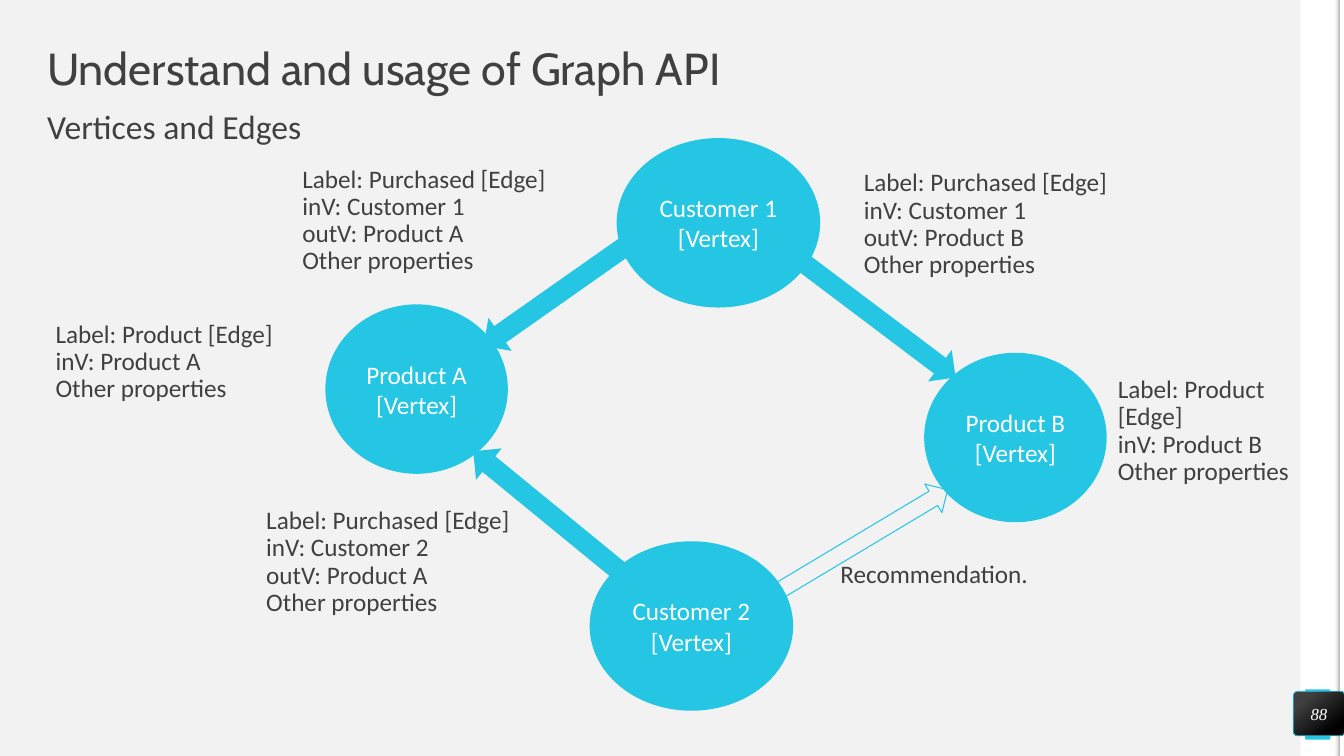
import lxml.etree
import pptx
import pptx.dml.color
import pptx.enum.shapes
import pptx.enum.text
import pptx.oxml.ns
import pptx.util

Cm = pptx.util.Cm
Pt = pptx.util.Pt
RGBColor = pptx.dml.color.RGBColor
Shape = pptx.enum.shapes.MSO_SHAPE
Align = pptx.enum.text.PP_ALIGN
Anchor = pptx.enum.text.MSO_ANCHOR

CYAN = RGBColor(0x25, 0xC6, 0xE3)
WHITE = RGBColor(0xFF, 0xFF, 0xFF)
BLACK = RGBColor(0, 0, 0)
PALE = RGBColor(0xF2, 0xF2, 0xF2)
SILVER = RGBColor(0xA6, 0xA6, 0xA6)
DARK = RGBColor(0x40, 0x40, 0x40)

TITLE = {"name": "Cabin", "size": Pt(32), "color": DARK}
SUBTITLE = {"name": "Calibri", "size": Pt(24), "color": DARK}
LABEL = {"name": "Calibri", "size": Pt(18), "color": DARK}
VERTEX = {"name": "Calibri", "size": Pt(18), "color": WHITE}
NUMBER = {"name": "Times New Roman", "size": Pt(12), "italic": True, "color": WHITE}

SLIDE_WIDTH, SLIDE_HEIGHT = 33.87, 19.05
VERTEX_HEIGHT = 4.27
LABEL_WIDTH, LABEL_HEIGHT = 6.43, 2.97

# name, left, top, width
PRODUCTS = [("Product B", 23.29, 8.89, 4.6), ("Product A", 8.2, 7.67, 4.6)]
CUSTOMERS = [("Customer 2", 14.86, 13.64, 5.13), ("Customer 1", 15.54, 3.48, 5.13)]

# left, top, width, height, rotation
PURCHASES = [
    (11.77, 6.9, 4.55, 1.02, 144.9),
    (11.35, 12.47, 5.08, 1.02, 219.3),
    (19.81, 7.59, 4.75, 0.99, 37),
]
RECOMMENDATION = (19.33, 13.18, 4.9, 0.84, 329.1)

# left, top, customer, product
PURCHASE_LABELS = [
    (7.62, 4.19, "Customer 1", "Product A"),
    (21.77, 4.29, "Customer 1", "Product B"),
    (6.71, 12.8, "Customer 2", "Product A"),
]
# left, top, width, product
PRODUCT_LABELS = [(1.4, 8.1, LABEL_WIDTH, "Product A"), (28.17, 9.5, 5.23, "Product B")]


def write_lines(frame, lines, style, align=Align.LEFT, spacing=None):
    for index, line in enumerate(lines):
        para = frame.paragraphs[0] if index == 0 else frame.add_paragraph()
        para.alignment = align
        para.line_spacing = spacing
        span = para.add_run()
        span.text = line
        for key, value in style.items():
            if key == "color":
                span.font.color.rgb = value
            else:
                setattr(span.font, key, value)


def format_frame(frame, inset, anchor):
    values = {"word_wrap": True, "vertical_anchor": anchor}
    if inset is not None:
        for side in ("left", "top", "right", "bottom"):
            values["margin_" + side] = Cm(inset)
    for key, value in values.items():
        setattr(frame, key, value)


def add_text(slide, left, top, width, height, lines, style, anchor=Anchor.TOP):
    box = slide.shapes.add_textbox(Cm(left), Cm(top), Cm(width), Cm(height))
    format_frame(box.text_frame, 0, anchor)
    write_lines(box.text_frame, lines, style, spacing=0.9)


def add_figure(slide, kind, left, top, width, height, fill=None, line=None, weight=0.75):
    figure = slide.shapes.add_shape(kind, Cm(left), Cm(top), Cm(width), Cm(height))
    figure.shadow.inherit = False
    if fill is None:
        figure.fill.background()
    else:
        figure.fill.solid()
        figure.fill.fore_color.rgb = fill
    if line is None:
        figure.line.fill.background()
    else:
        figure.line.color.rgb = line
        figure.line.width = Pt(weight)
    return figure


def set_gradient(figure, angle, stops):
    figure.fill.gradient()
    figure.fill.gradient_angle = angle
    for stop, (position, color) in zip(figure.fill.gradient_stops, stops):
        stop.position = position
        stop.color.rgb = color


def add_vertex(slide, name, left, top, width):
    vertex = add_figure(slide, Shape.OVAL, left, top, width, VERTEX_HEIGHT, CYAN)
    format_frame(vertex.text_frame, None, Anchor.MIDDLE)
    write_lines(vertex.text_frame, [name, "[Vertex]"], VERTEX, Align.CENTER)


def add_arrow(slide, left, top, width, height, rotation, fill=None, line=None):
    arrow = add_figure(slide, Shape.RIGHT_ARROW, left, top, width, height, fill, line)
    arrow.rotation = rotation


def add_side_panel(slide):
    add_figure(slide, Shape.RECTANGLE, 32.77, 0, 0.99, SLIDE_HEIGHT, WHITE)
    tab = add_figure(slide, Shape.ROUNDED_RECTANGLE, 32.89, 17.37, 0.64, 1.27, CYAN)
    tab.adjustments[0] = 0.07
    add_figure(slide, Shape.RECTANGLE, 33.74, 0, 0.13, SLIDE_HEIGHT, WHITE)

    # Shade that fades out to the left
    shade = add_figure(slide, Shape.RECTANGLE, 33.62, 0, 0.13, SLIDE_HEIGHT, PALE)
    set_gradient(shade, 0, [(0, PALE), (1, SILVER)])
    first_color = next(shade.fill._xPr.iter(pptx.oxml.ns.qn("a:srgbClr")))
    lxml.etree.SubElement(first_color, pptx.oxml.ns.qn("a:alpha"), val="0")


def add_slide_number(slide):
    badge = add_figure(slide, Shape.ROUNDED_RECTANGLE, 32.59, 17.42, 1.3, 1.12,
                       BLACK, CYAN, 0.5)
    badge.adjustments[0] = 0.1
    set_gradient(badge, 310, [(0.2, DARK), (0.82, BLACK)])
    format_frame(badge.text_frame, 0, Anchor.MIDDLE)
    write_lines(badge.text_frame, ["88"], NUMBER, Align.CENTER)


def main():
    deck = pptx.Presentation()
    deck.slide_width, deck.slide_height = Cm(SLIDE_WIDTH), Cm(SLIDE_HEIGHT)
    slide = deck.slides.add_slide(deck.slide_layouts[6])
    slide.background.fill.solid()
    slide.background.fill.fore_color.rgb = PALE

    # Frame and headings
    add_side_panel(slide)
    add_text(slide, 1.19, 1.19, 31.47, 1.19, ["Understand and usage of Graph API"],
             TITLE, Anchor.MIDDLE)
    add_text(slide, 1.19, 2.79, 31.5, 0.99, ["Vertices and Edges"], SUBTITLE)
    add_slide_number(slide)

    # Graph: arrows lie over the products and under the customers
    for product in PRODUCTS:
        add_vertex(slide, *product)
    for purchase in PURCHASES:
        add_arrow(slide, *purchase, fill=CYAN)
    for customer in CUSTOMERS:
        add_vertex(slide, *customer)
    add_arrow(slide, *RECOMMENDATION, line=CYAN)

    # Labels
    for left, top, customer, product in PURCHASE_LABELS:
        lines = ["Label: Purchased [Edge]", f"inV: {customer}", f"outV: {product}",
                 "Other properties"]
        add_text(slide, left, top, LABEL_WIDTH, LABEL_HEIGHT, lines, LABEL)
    for left, top, width, product in PRODUCT_LABELS:
        lines = ["Label: Product [Edge]", f"inV: {product}", "Other properties"]
        add_text(slide, left, top, width, LABEL_HEIGHT, lines, LABEL)
    add_text(slide, 21.18, 14.15, LABEL_WIDTH, LABEL_HEIGHT, ["Recommendation."], LABEL)

    deck.save("out.pptx")


if __name__ == "__main__":
    main()
